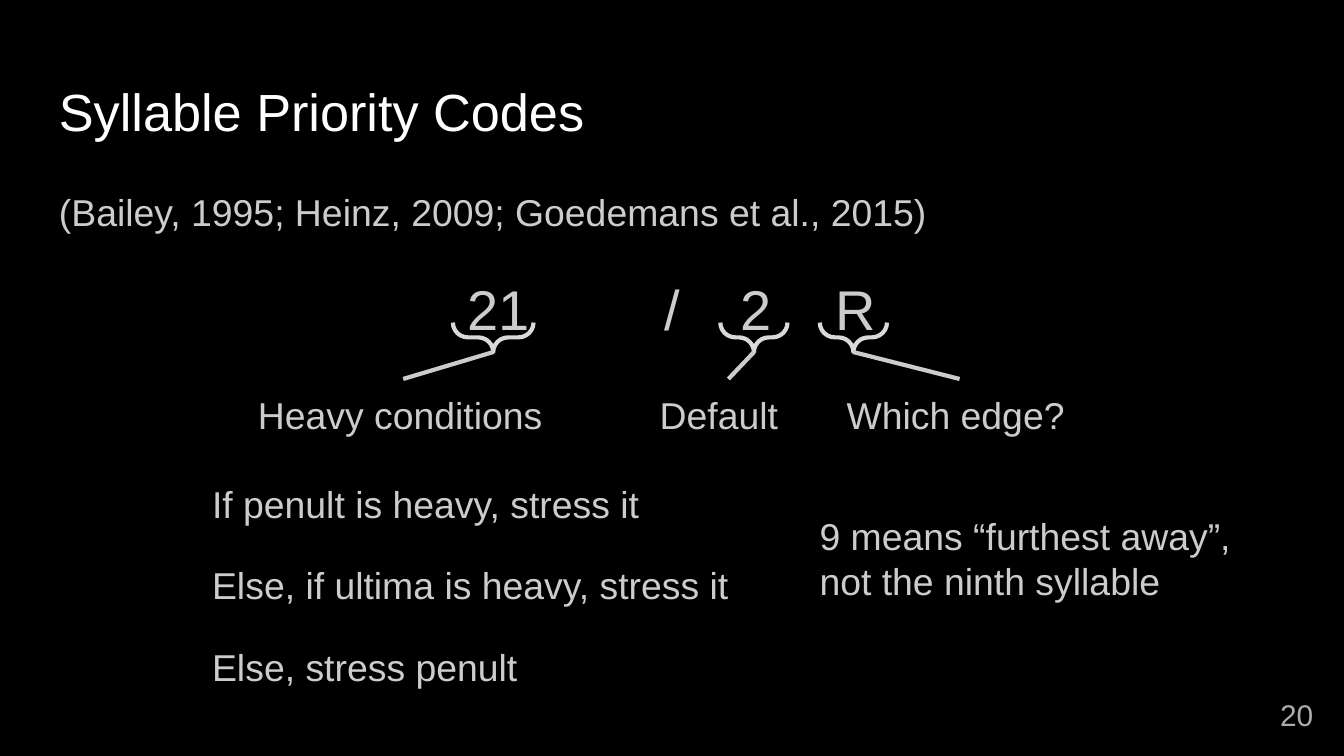
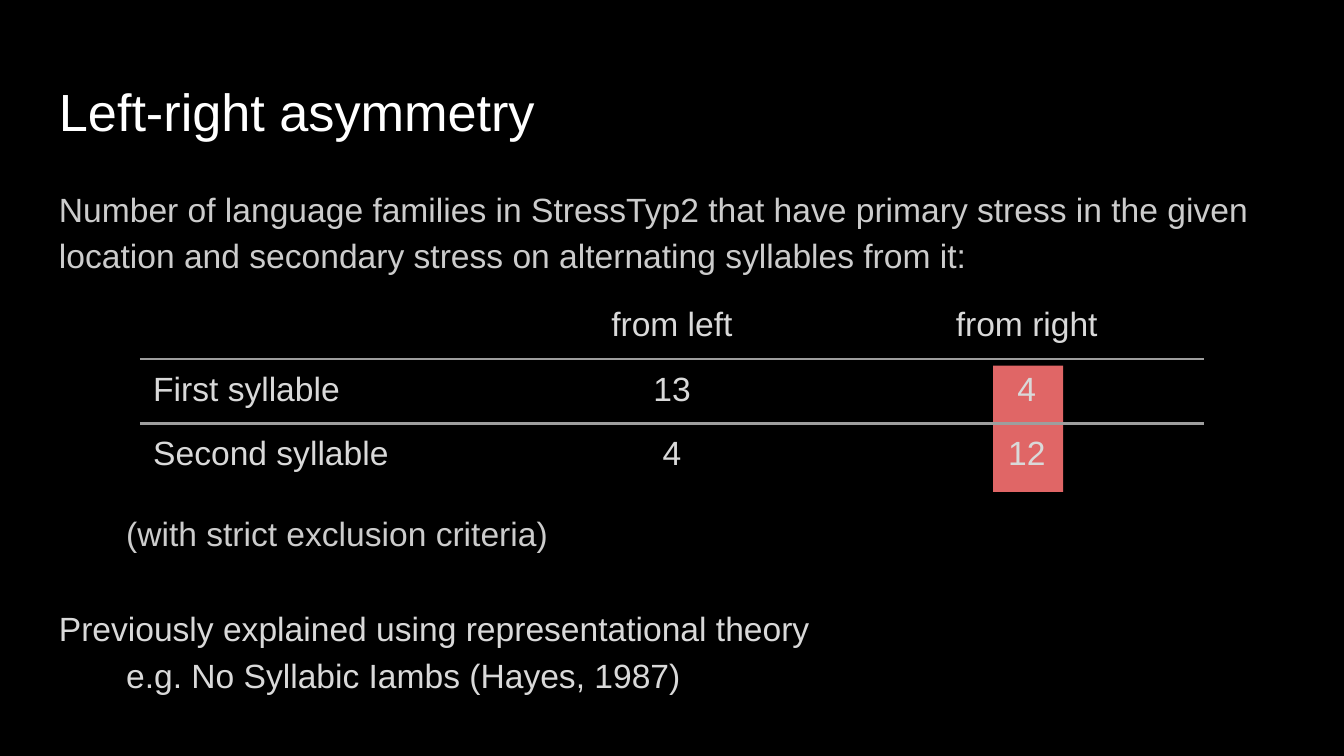
from lxml import etree
from pptx import Presentation
from pptx.dml.color import RGBColor
from pptx.enum.shapes import MSO_CONNECTOR, MSO_SHAPE
from pptx.enum.text import MSO_ANCHOR, PP_ALIGN
from pptx.oxml.ns import qn
from pptx.util import Inches, Pt

LEFT, CENTER, RIGHT = PP_ALIGN.LEFT, PP_ALIGN.CENTER, PP_ALIGN.RIGHT
TOP, MIDDLE = MSO_ANCHOR.TOP, MSO_ANCHOR.MIDDLE
LEFT_BRACE, RECTANGLE = MSO_SHAPE.LEFT_BRACE, MSO_SHAPE.RECTANGLE
STRAIGHT = MSO_CONNECTOR.STRAIGHT

# Shared look
FONT = "Arial"
BLACK, WHITE, TEXT, BRIGHT = "000000", "FFFFFF", "CCCCCC", "D9D9D9"
NUMBER, RULE, HIGHLIGHT = "ADADAD", "9E9E9E", "E06666"
INSET = 0.1
LINE_WIDTH = 2.25
LOOSE = 1.15
NO_STYLE = "{2D5ABB26-0587-4C30-8999-92F81FD0307C}"
MARGIN, BODY_TOP, BODY_WIDTH = 0.34, 1.26, 9.32
TITLE_BOX = (MARGIN, 0.49, BODY_WIDTH, 0.63)
NUMBER_BOX = (9.27, 5.1, 0.6, 0.43)

# Slide 1 content
CODES_TITLE = "Syllable Priority Codes"
CITATION = "(Bailey, 1995; Heinz, 2009; Goedemans et al., 2015)"
SYMBOLS = [("21", 3.71), ("/", 5.0), ("2", 5.63), ("R", 6.37)]  # text, centre
# label, label left, label width, brace centre, brace span, line end
CODE_PARTS = [
    ("Heavy conditions", 1.82, 2.35, 3.67, 0.6, 3.0),
    ("Default", 4.81, 1.21, 5.61, 0.5, 5.42),
    ("Which edge?", 6.2, 1.88, 6.35, 0.5, 7.14),
]
RULES = [
    "If penult is heavy, stress it",
    "Else, if ultima is heavy, stress it",
    "Else, stress penult",
]
NINE_NOTE = "9 means “furthest away”, not the ninth syllable"

# Slide 2 content
ASYMMETRY_TITLE = "Left-right asymmetry"
INTRODUCTION = (
    "Number of language families in StressTyp2 that have primary stress in the "
    "given location and secondary stress on alternating syllables from it:"
)
CRITERIA = "(with strict exclusion criteria)"
COUNTS = [
    ["", "from left", "from right"],
    ["First syllable", "13", "4"],
    ["Second syllable", "4", "12"],
]
EXPLANATION = "Previously explained using representational theory"
EXAMPLE = "e.g. No Syllabic Iambs (Hayes, 1987)"


def color(value):
    return RGBColor.from_string(value)


def box(values):
    return [Inches(value) for value in values]


def write(paragraph, text, size=20, fill=TEXT, indent=0, tabs=(), **formats):
    for name, value in formats.items():
        setattr(paragraph, name, value)
    properties = paragraph._p.get_or_add_pPr()
    if indent:
        properties.set("indent", str(Inches(indent)))
    if tabs:
        stops = etree.SubElement(properties, qn("a:tabLst"))
        for position in tabs:
            etree.SubElement(stops, qn("a:tab"), pos=str(Inches(position)), algn="ctr")
    if text:
        run = paragraph.add_run()
        run.text = text
        for name, value in {"name": FONT, "size": Pt(size)}.items():
            setattr(run.font, name, value)
        run.font.color.rgb = color(fill)


def add_text(slide, place, paragraphs, anchor=TOP, **shared):
    """Each paragraph is a pair of its text and its own formats."""
    frame = slide.shapes.add_textbox(*box(place)).text_frame
    settings = {"word_wrap": True, "vertical_anchor": anchor}
    for side in ("left", "top", "right", "bottom"):
        settings["margin_" + side] = Inches(INSET)
    for name, value in settings.items():
        setattr(frame, name, value)
    for index, (text, formats) in enumerate(paragraphs):
        paragraph = frame.add_paragraph() if index else frame.paragraphs[0]
        write(paragraph, text, **{**shared, **formats})


def add_slide(presentation, title):
    slide = presentation.slides.add_slide(presentation.slide_layouts[6])
    slide.background.fill.solid()
    slide.background.fill.fore_color.rgb = color(BLACK)
    add_text(slide, TITLE_BOX, [(title, {})], size=28, fill=WHITE)
    return slide


def add_brace(slide, center, middle, span, depth=0.22):
    # The upright brace is turned so that its point faces down
    place = (center - depth / 2, middle - span / 2, depth, span)
    brace = slide.shapes.add_shape(LEFT_BRACE, *box(place))
    brace.rotation = 270
    brace.adjustments[0] = 0.51
    brace.shadow.inherit = False
    brace.fill.background()
    brace.line.color.rgb = color(BRIGHT)
    brace.line.width = Pt(LINE_WIDTH)


def add_line(slide, start, end):
    line = slide.shapes.add_connector(STRAIGHT, *box(start + end))
    line.line.color.rgb = color(TEXT)
    line.line.width = Pt(LINE_WIDTH)
    etree.SubElement(line._element.spPr, qn("a:effectLst"))


def add_border(cell, tag):
    border = etree.Element(qn(tag), w=str(Pt(1.5)))
    fill = etree.SubElement(border, qn("a:solidFill"))
    etree.SubElement(fill, qn("a:srgbClr"), val=RULE)
    cell._tc.get_or_add_tcPr().insert(0, border)


def add_counts_table(slide, place, rows):
    columns = len(rows[0])
    table = slide.shapes.add_table(len(rows), columns, *box(place)).table
    table.first_row = table.horz_banding = False
    table._tbl.tblPr.find(qn("a:tableStyleId")).text = NO_STYLE
    margins = {"left": INSET, "right": INSET, "top": 0.09, "bottom": 0.09}
    for row_index, row in enumerate(rows):
        for column_index, text in enumerate(row):
            cell = table.cell(row_index, column_index)
            for side, margin in margins.items():
                setattr(cell, "margin_" + side, Inches(margin))
            cell.fill.background()
            write(cell.text_frame.paragraphs[0], text, size=18, fill=BRIGHT,
                  alignment=CENTER if column_index else LEFT)
            # Rules run between rows only
            if row_index < len(rows) - 1:
                add_border(cell, "a:lnB")
            if row_index:
                add_border(cell, "a:lnT")


def build_codes(presentation):
    slide = add_slide(presentation, CODES_TITLE)

    # Citation and code, each symbol centred on its own tab stop
    code = "".join("\t" + symbol for symbol, _ in SYMBOLS)
    stops = [center - MARGIN - INSET for _, center in SYMBOLS]
    code_formats = {"size": 30, "tabs": stops, "space_before": Pt(16),
                    "space_after": Pt(16)}
    add_text(slide, (MARGIN, BODY_TOP, BODY_WIDTH, 1.79),
             [(CITATION, {}), (code, code_formats)], line_spacing=LOOSE)
    add_text(slide, NUMBER_BOX, [("20", {})], anchor=MIDDLE, size=16,
             fill=NUMBER, alignment=RIGHT)

    # Reading of the code
    rules = [(rule, {"space_before": Pt(16 if index else 0)})
             for index, rule in enumerate(RULES)]
    add_text(slide, (1.48, 3.43, 4.84, 1.79), rules, line_spacing=LOOSE)

    # Brace, label and pointer below each part
    for label, left, width, center, span, line_end in CODE_PARTS:
        add_brace(slide, center, 2.51, span)
        add_text(slide, (left, 2.82, width, 0.63), [(label, {})])
        add_line(slide, (center, 2.62), (line_end, 2.82))
    add_text(slide, (6, 3.72, 3.27, 0.99), [(NINE_NOTE, {})])


def build_asymmetry(presentation):
    slide = add_slide(presentation, ASYMMETRY_TITLE)

    # Highlight behind the right-hand counts
    highlight = slide.shapes.add_shape(RECTANGLE, *box((7.39, 2.72, 0.52, 0.94)))
    highlight.shadow.inherit = False
    highlight.fill.solid()
    highlight.fill.fore_color.rgb = color(HIGHLIGHT)
    highlight.line.fill.background()

    # Text around the table, with room left for it
    body = [(INTRODUCTION, {}),
            (CRITERIA, {"indent": 0.5, "space_before": Pt(124)})]
    add_text(slide, (MARGIN, BODY_TOP, BODY_WIDTH, 3.74), body, size=18,
             line_spacing=LOOSE)
    add_counts_table(slide, (1.04, 2.19, 7.92, 1.26), COUNTS)
    closing = [(EXPLANATION, {}), (EXAMPLE, {"indent": 0.5})]
    add_text(slide, (MARGIN, 4.38, 8.14, 1), closing, size=18, fill=BRIGHT,
             line_spacing=LOOSE)


def main():
    presentation = Presentation()
    presentation.slide_width = Inches(10)
    presentation.slide_height = presentation.slide_width * 9 // 16
    build_codes(presentation)
    build_asymmetry(presentation)
    presentation.save("out.pptx")


if __name__ == "__main__":
    main()
